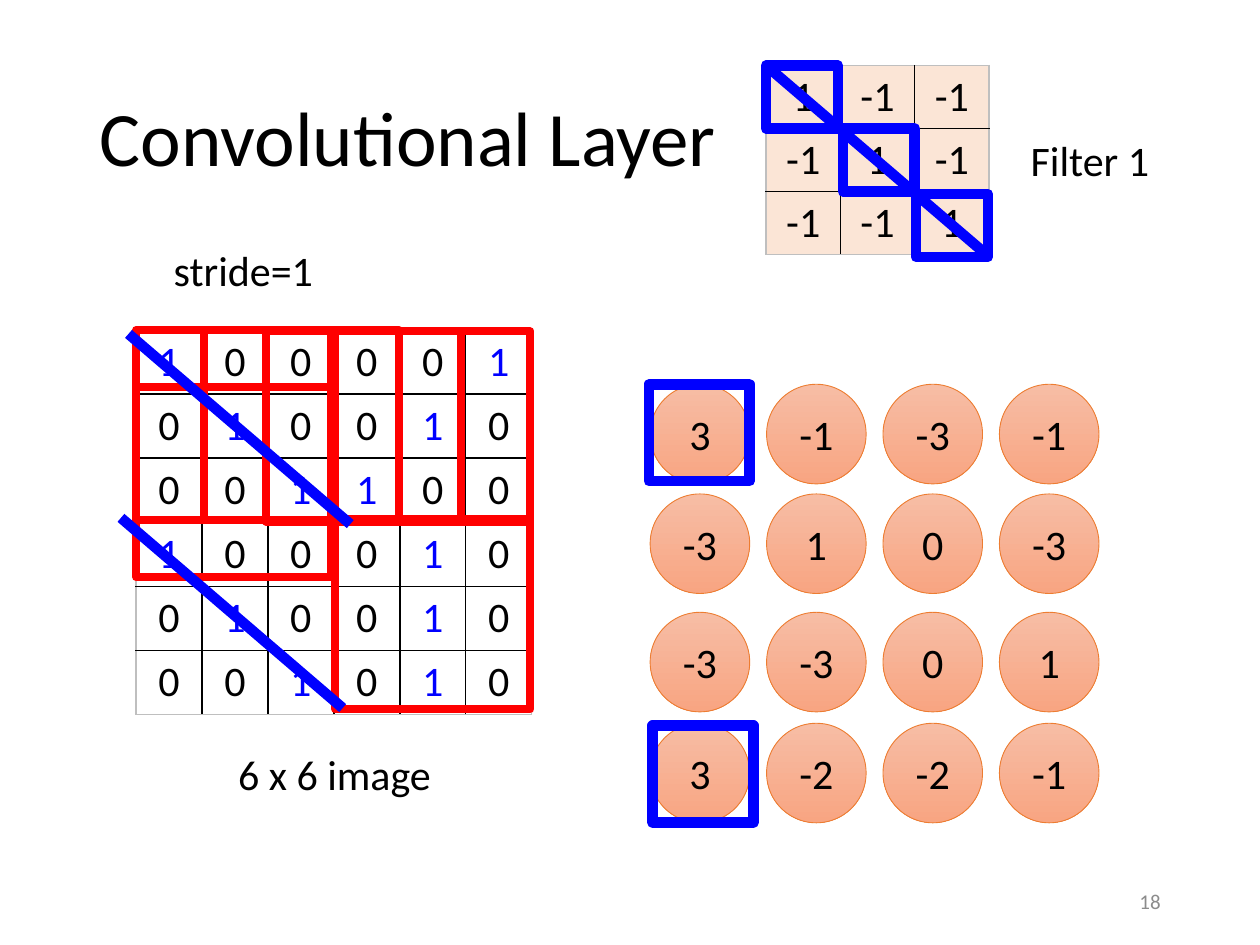
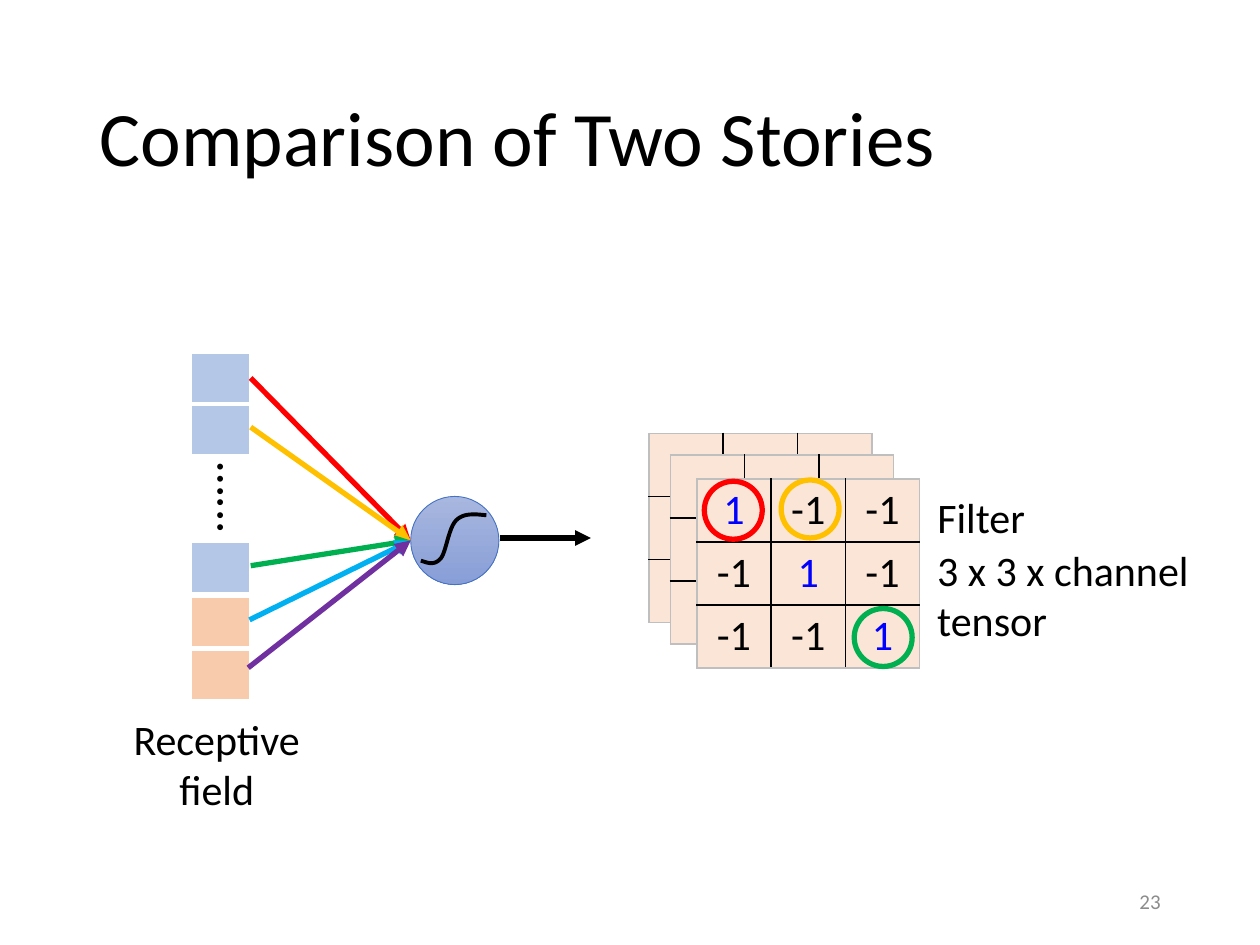
from lxml.etree import SubElement
from pptx import Presentation
from pptx.dml.color import RGBColor
from pptx.enum.shapes import MSO_CONNECTOR, MSO_SHAPE
from pptx.enum.text import MSO_ANCHOR, PP_ALIGN
from pptx.oxml.ns import qn
from pptx.util import Inches, Pt

COLUMNS, ROWS = 100, 75
FONT = "Calibri"
BLACK, WHITE, GRAY = "000000", "FFFFFF", "8C8C8C"
RED, BLUE, GOLD, GREEN = "FF0000", "0000FF", "FFC000", "00B050"
SKY, PURPLE = "00B0F0", "7030A0"
PEACH, ORANGE, LIGHT_BLUE = "FBE5D6", "F8CBAD", "B4C7E7"
GRID_BORDERS = ((BLACK, 1), ("BFBFBF", 1))
WHITE_BORDERS = ((WHITE, 3), (WHITE, 1))


def color(hex_string):
    return RGBColor.from_string(hex_string)


class Deck:
    """Draws elements on the current slide; lengths are grid columns and rows."""

    def __init__(self):
        self.presentation = Presentation()
        self.presentation.slide_width = Inches(10)
        self.presentation.slide_height = Inches(7.5)
        self.slide = None

    def x(self, columns):
        return int(self.presentation.slide_width * columns / COLUMNS)

    def y(self, rows):
        return int(self.presentation.slide_height * rows / ROWS)

    def box(self, left, top, width, height):
        return self.x(left), self.y(top), self.x(width), self.y(height)

    def format_text(self, frame, text, size=24, hex_color=BLACK, align=PP_ALIGN.LEFT):
        frame.text = text
        for paragraph in frame.paragraphs:
            paragraph.alignment = align
            for run in paragraph.runs:
                run.font.name = FONT
                run.font.size = Pt(size)
                run.font.color.rgb = color(hex_color)

    def new_slide(self, title, number):
        layout = self.presentation.slide_layouts[5]
        self.slide = self.presentation.slides.add_slide(layout)
        shape = self.slide.shapes.title
        shape.left, shape.top, shape.width, shape.height = self.box(6.9, 4, 86.2, 14.5)
        self.format_text(shape.text_frame, title, size=44)
        shape.text_frame.vertical_anchor = MSO_ANCHOR.MIDDLE
        shape.text_frame.paragraphs[0].line_spacing = 0.9
        footer = self.label(str(number), 70.6, 69.5, 22.5, 4, size=12,
                            hex_color=GRAY, align=PP_ALIGN.RIGHT)
        footer.text_frame.vertical_anchor = MSO_ANCHOR.MIDDLE

    def label(self, text, left, top, width, height=5, **style):
        shape = self.slide.shapes.add_textbox(*self.box(left, top, width, height))
        shape.text_frame.word_wrap = True
        self.format_text(shape.text_frame, text, **style)
        return shape

    def outline(self, kind, left, top, width, height, hex_color, weight):
        shape = self.slide.shapes.add_shape(kind, *self.box(left, top, width, height))
        shape.shadow.inherit = False
        shape.fill.background()
        shape.line.color.rgb = color(hex_color)
        shape.line.width = Pt(weight)
        return shape

    def frame(self, left, top, width, height, hex_color, weight):
        return self.outline(MSO_SHAPE.RECTANGLE, left, top, width, height, hex_color, weight)

    def ring(self, left, top, diameter, hex_color, weight=3):
        return self.outline(MSO_SHAPE.OVAL, left, top, diameter, diameter, hex_color, weight)

    def neuron(self, left, top, diameter, gradient, line_color, text=""):
        shape = self.ring(left, top, diameter, line_color, 0.5)
        shape.fill.gradient()
        shape.fill.gradient_angle = 270
        for stop, hex_color in zip(shape.fill.gradient_stops, gradient):
            stop.color.rgb = color(hex_color)
        frame = shape.text_frame
        frame.margin_left = frame.margin_right = frame.margin_top = frame.margin_bottom = 0
        frame.word_wrap = False
        frame.vertical_anchor = MSO_ANCHOR.MIDDLE
        self.format_text(frame, text, align=PP_ALIGN.CENTER)

    def line(self, start, end, hex_color, weight, arrow=False):
        connector = self.slide.shapes.add_connector(
            MSO_CONNECTOR.STRAIGHT, self.x(start[0]), self.y(start[1]),
            self.x(end[0]), self.y(end[1]))
        connector.line.color.rgb = color(hex_color)
        connector.line.width = Pt(weight)
        if arrow:
            SubElement(connector.line._get_or_add_ln(), qn("a:tailEnd"), type="triangle")
        SubElement(connector._element.spPr, qn("a:effectLst"))

    def curve(self, start, segments, hex_color, weight, steps=12):
        """Draw joined cubic curves, each given as two controls and an end."""
        points, first = [], start
        for second, third, last in segments:
            for step in range(1, steps + 1):
                t = step / steps
                weights = ((1 - t) ** 3, 3 * t * (1 - t) ** 2, 3 * t * t * (1 - t), t ** 3)
                across, down = (sum(w * value for w, value in zip(weights, values))
                                for values in zip(first, second, third, last))
                points.append((self.x(across), self.y(down)))
            first = last
        builder = self.slide.shapes.build_freeform(self.x(start[0]), self.y(start[1]))
        builder.add_line_segments(points, close=False)
        shape = builder.convert_to_shape()
        shape.shadow.inherit = False
        shape.fill.background()
        shape.line.color.rgb = color(hex_color)
        shape.line.width = Pt(weight)

    def table(self, values, left, top, width, height, fill=None,
              one_color=BLACK, borders=GRID_BORDERS):
        last_row, last_column = len(values) - 1, len(values[0]) - 1
        table = self.slide.shapes.add_table(
            last_row + 1, last_column + 1, *self.box(left, top, width, height)).table
        table.first_row = table.horz_banding = False
        for row, texts in enumerate(values):
            for column, text in enumerate(texts):
                cell = table.cell(row, column)
                cell.margin_top = cell.margin_bottom = Inches(0.04)
                cell.vertical_anchor = MSO_ANCHOR.MIDDLE
                self.format_text(cell.text_frame, text, align=PP_ALIGN.CENTER,
                                 hex_color=one_color if text == "1" else BLACK)
                edges = (column == 0, column == last_column, row == 0, row == last_row)
                self.cell_borders(cell, edges, borders)
                if fill:
                    cell.fill.solid()
                    cell.fill.fore_color.rgb = color(fill)
                else:
                    cell.fill.background()

    def cell_borders(self, cell, edges, borders):
        """Give each side the inner border, or the outer one where it is an edge."""
        properties = cell._tc.get_or_add_tcPr()
        for side, is_edge in zip("LRTB", edges):
            hex_color, weight = borders[is_edge]
            border = SubElement(properties, qn("a:ln" + side), w=str(Pt(weight)))
            SubElement(SubElement(border, qn("a:solidFill")), qn("a:srgbClr"), val=hex_color)


def diagonal_filter():
    return [["1" if row == column else "-1" for column in range(3)] for row in range(3)]


def convolution_slide(deck):
    deck.new_slide("Convolutional Layer", 18)
    image = ["100001", "010010", "001100", "100010", "010010", "001010"]
    deck.table(image, 10.8, 26.2, 31.4, 30.5, one_color=BLUE)
    deck.label("6 x 6 image", 13.7, 58.9, 25.7, align=PP_ALIGN.CENTER)
    deck.label("stride=1", 12.8, 18.9, 13.2)
    deck.table(diagonal_filter(), 60.8, 5.2, 17.7, 15, PEACH)
    deck.label("Filter 1", 78.6, 10.2, 15.8, align=PP_ALIGN.CENTER)

    windows = [(10.8, 26.2), (16.2, 26.2), (21.1, 26.3), (26.6, 26.3),
               (10.8, 30.7), (26.6, 41.2)]
    for left, top in windows:
        deck.frame(left, top, 15.5, 15.1, RED, 4.5)

    feature_map = [["3", "-1", "-3", "-1"], ["-3", "1", "0", "-3"],
                   ["-3", "-3", "0", "1"], ["3", "-2", "-2", "-1"]]
    for top, values in zip((30.5, 39.2, 48.6, 57.4), feature_map):
        for column, value in enumerate(values):
            deck.neuron(51.6 + 9.24 * column, top, 7.9, ("F7BDA5", "F8A582"), "ED7D31", value)

    for left, top in [(60.8, 5.2), (66.9, 10.2), (72.7, 15.4)]:
        deck.frame(left, top, 5.7, 5, BLUE, 6)
    for left, top in [(51.5, 30.5), (51.8, 57.6)]:
        deck.frame(left, top, 8, 7.7, BLUE, 6)
    for left, top in [(60.8, 5.2), (10.2, 26.5), (9.6, 41.1)]:
        deck.line((left, top), (left + 17.6, top + 15.1), BLUE, 6)


def comparison_slide(deck):
    deck.new_slide("Comparison of Two Stories", 23)
    blank = [[""] * 3] * 3
    for left, top in [(51.5, 34.4), (53.2, 36.1)]:
        deck.table(blank, left, top, 17.7, 15, PEACH)
    deck.table(diagonal_filter(), 55.3, 38, 17.7, 15, PEACH, one_color=BLUE)
    for left, top, hex_color in [(55.9, 38.2, RED), (62, 38.1, GOLD), (67.8, 48.3, GREEN)]:
        deck.ring(left, top, 4.6, hex_color)
    for text, top, width in [("Filter", 38.5, 15.8), ("3 x 3 x channel", 42.7, 23.4),
                             ("tensor", 46.7, 13.4)]:
        deck.label(text, 73.4, top, width)

    for top, count, fill in [(28, 2, LIGHT_BLUE), (43, 1, LIGHT_BLUE), (47.4, 2, ORANGE)]:
        deck.table([[""]] * count, 15.2, top, 4.6, 4.06 * count, fill, borders=WHITE_BORDERS)
    deck.label("…...", 14.7, 37, 8.2, 5.7, size=28).rotation = 90
    deck.label("Receptive field", 9.5, 56.1, 15.4, 9.1, align=PP_ALIGN.CENTER)

    deck.neuron(32.6, 39.4, 7, ("A8B7DF", "889ED7"), "4472C4")
    sigmoid = [((37.7, 40.8), (36.8, 40.7), (36.2, 41.3)),
               ((35.6, 41.9), (35.4, 43.8), (35, 44.3)),
               ((34.5, 44.9), (34, 44.7), (33.4, 44.5))]
    deck.curve((38.6, 40.9), sigmoid, BLACK, 2.25)
    deck.line((39.7, 42.7), (46.9, 42.7), BLACK, 3, arrow=True)
    weights = [(19.9, 30, RED), (19.9, 33.9, GOLD), (19.9, 44.9, GREEN),
               (19.8, 49.2, SKY), (19.7, 53, PURPLE)]
    for left, top, hex_color in weights:
        deck.line((left, top), (32.6, 42.9), hex_color, 3, arrow=True)


def main():
    deck = Deck()
    convolution_slide(deck)
    comparison_slide(deck)
    deck.presentation.save("out.pptx")


if __name__ == "__main__":
    main()
